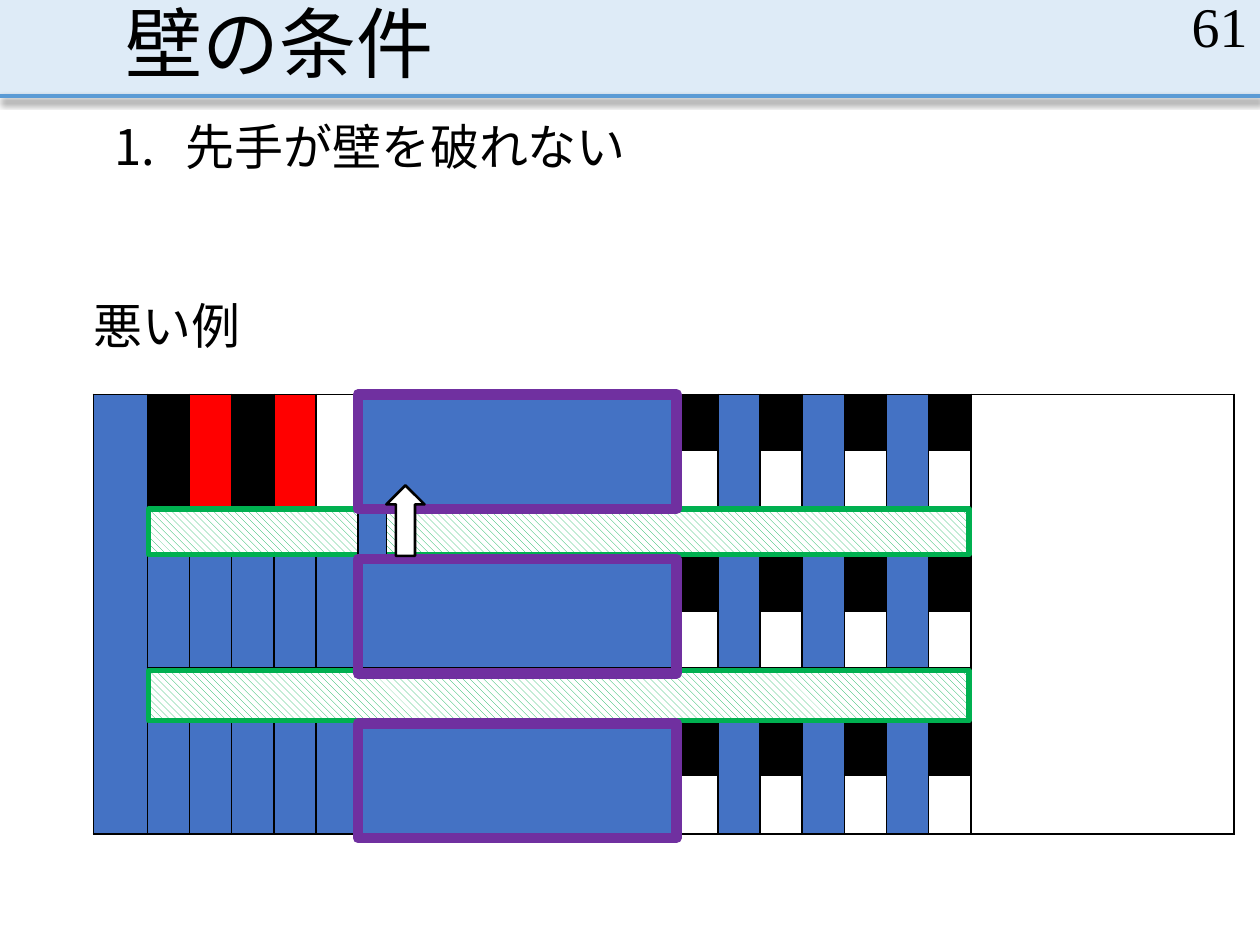
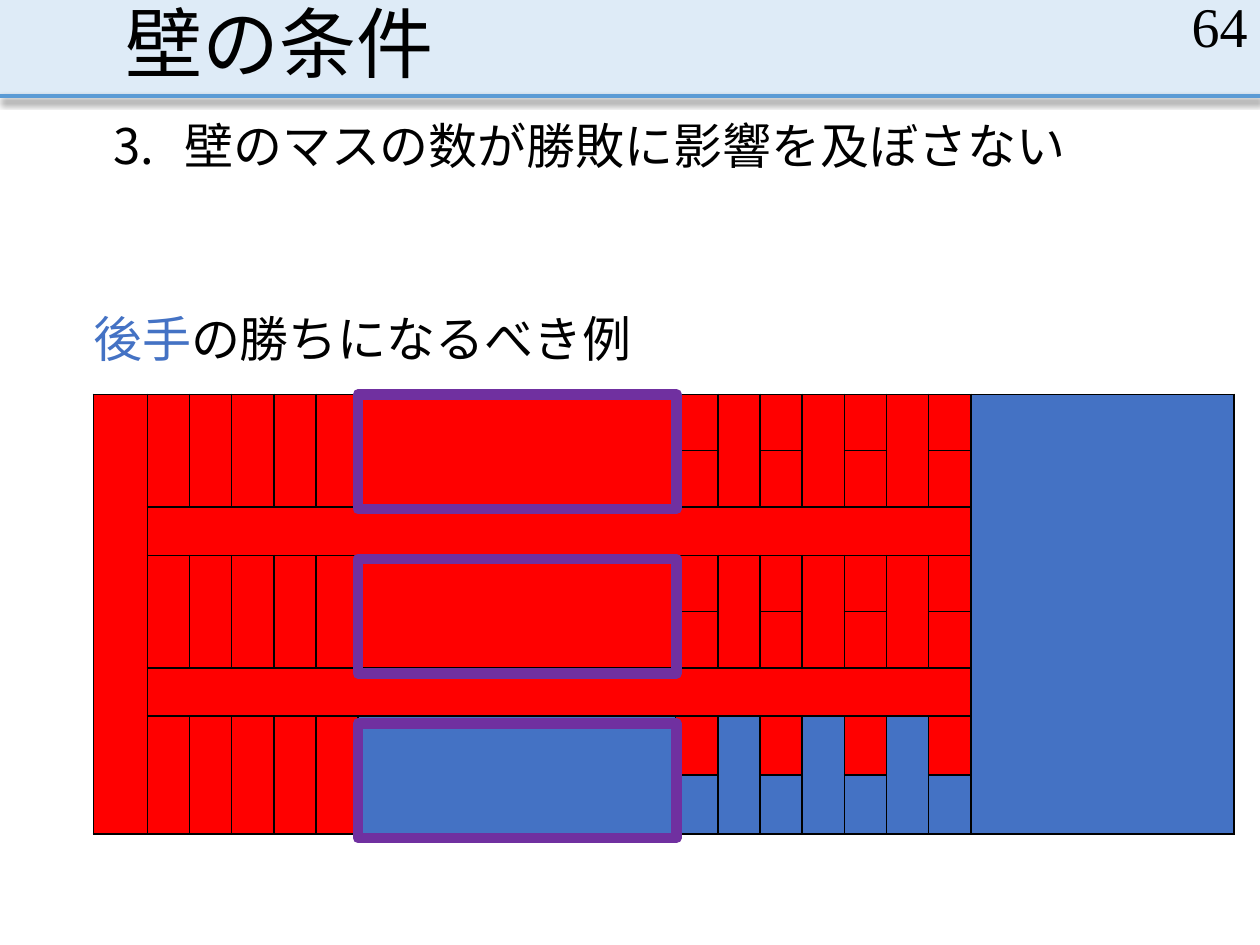
from lxml.etree import SubElement
from pptx import Presentation
from pptx.dml.color import RGBColor
from pptx.enum.dml import MSO_PATTERN as Pattern
from pptx.enum.shapes import MSO_CONNECTOR as Connector, MSO_SHAPE as Shape
from pptx.enum.text import MSO_ANCHOR as Anchor, PP_ALIGN as Align
from pptx.oxml.ns import qn
from pptx.util import Pt

COLORS = {
    "band": "DEEBF7", "rule": "5B9BD5", "black": "000000", "white": "FFFFFF",
    "red": "FF0000", "blue": "4472C4", "green": "00B050", "purple": "7030A0",
}
CELL_COLORS = {"K": "black", "R": "red", "B": "blue", "W": "white"}
FONT = "Times New Roman"
WIDTH, HEIGHT = 720, 540
HEADER = (0, 0, WIDTH, 54.72)
BOARD = (53.28, 225.36)
COLUMNS = [30.9] + [24.1] * 5 + [181.5] + [24.1] * 7 + [150.4]
ROWS = [32.2, 32.2, 27.7, 32.2, 32.2, 27.4, 33.7, 33.7]
BAND_ROWS = (0, 3, 6)
CORRIDOR_ROWS = (2, 5)
SPLIT_COLUMNS = (7, 9, 11, 13)
LAST_COLUMN = len(COLUMNS) - 1


def color(name):
    return RGBColor.from_string(COLORS[name])


def points(box):
    return [Pt(length) for length in box]


def add_block(page, kind, box, fill=None, line=None, weight=1):
    block = page.shapes.add_shape(kind, *points(box))
    block.shadow.inherit = False
    if fill:
        block.fill.solid()
        block.fill.fore_color.rgb = color(fill)
    else:
        block.fill.background()
    if line:
        block.line.color.rgb = color(line)
        block.line.width = Pt(weight)
    else:
        block.line.fill.background()
    return block


def add_text(page, box, parts, size, spacing=None, anchor=Anchor.TOP,
             align=Align.LEFT, side_inset=0, number=None):
    frame = page.shapes.add_textbox(*points(box)).text_frame
    frame.word_wrap = True
    frame.vertical_anchor = anchor
    frame.margin_left = frame.margin_right = Pt(side_inset)
    frame.margin_top = frame.margin_bottom = Pt(3.6)
    para = frame.paragraphs[0]
    para.alignment = align
    if spacing:
        para.line_spacing = spacing
    if number:
        properties = para._p.get_or_add_pPr()
        properties.set("marL", str(Pt(40.5)))
        properties.set("indent", str(-Pt(40.5)))
        SubElement(properties, qn("a:buFont"), typeface="+mj-lt")
        SubElement(properties, qn("a:buAutoNum"), type="arabicPeriod",
                   startAt=str(number))
    for words, ink in parts:
        span = para.add_run()
        span.text = words
        span.font.name = FONT
        span.font.size = Pt(size)
        span.font.color.rgb = color(ink)


def add_rule_shadow(rule):
    effects = SubElement(rule._element.spPr, qn("a:effectLst"))
    shadow = SubElement(effects, qn("a:outerShdw"), blurRad=str(Pt(4)),
                        dist=str(Pt(2.5)), dir="5400000", rotWithShape="0")
    ink = SubElement(shadow, qn("a:srgbClr"), val=COLORS["black"])
    SubElement(ink, qn("a:alpha"), val="47000")


def add_header(page, box, title, page_number):
    left, top, width, height = box
    add_block(page, Shape.RECTANGLE, box, "band")
    bottom = top + height
    rule = page.shapes.add_connector(
        Connector.STRAIGHT, *points((left, bottom, left + width, bottom)))
    rule.line.color.rgb = color("rule")
    rule.line.width = Pt(2.25)
    add_rule_shadow(rule)
    add_text(page, (left + 64.8, top, 594, height), [(title, "black")], 44,
             0.9, Anchor.BOTTOM, side_inset=7.2)
    add_text(page, (left + width - 162, top, 162, 28.8),
             [(page_number, "black")], 32, anchor=Anchor.MIDDLE,
             align=Align.RIGHT, side_inset=7.2)


def add_borders(cell):
    properties = cell._tc.get_or_add_tcPr()
    for side in ("a:lnL", "a:lnR", "a:lnT", "a:lnB"):
        border = SubElement(properties, qn(side), w=str(Pt(1)))
        fill = SubElement(border, qn("a:solidFill"))
        SubElement(fill, qn("a:srgbClr"), val=COLORS["black"])


def paint(cell, code):
    if code in CELL_COLORS:
        cell.fill.solid()
        cell.fill.fore_color.rgb = color(CELL_COLORS[code])
    else:
        cell.fill.background()


def add_board(page, origin, left_side, right_side, corridor, bands):
    box = (*origin, sum(COLUMNS), sum(ROWS))
    grid = page.shapes.add_table(len(ROWS), len(COLUMNS), *points(box)).table
    grid.first_row = grid.horz_banding = False
    for column, width in zip(grid.columns, COLUMNS):
        column.width = Pt(width)
    for row, height in zip(grid.rows, ROWS):
        row.height = Pt(height)
    for cell in grid.iter_cells():
        cell.margin_left = cell.margin_right = 0
        cell.margin_top = cell.margin_bottom = 0
        add_borders(cell)
        cell.fill.background()

    def fill_area(first, last, code):
        cell = grid.cell(*first)
        if first != last:
            cell.merge(grid.cell(*last))
        paint(cell, code)

    last_row = len(ROWS) - 1
    fill_area((0, 0), (last_row, 0), left_side)
    fill_area((0, LAST_COLUMN), (last_row, LAST_COLUMN), right_side)
    for row in CORRIDOR_ROWS:
        fill_area((row, 1), (row, LAST_COLUMN - 1), corridor)
    for row, (upper, lower) in zip(BAND_ROWS, bands):
        for column, code in enumerate(upper, 1):
            if column in SPLIT_COLUMNS:
                fill_area((row, column), (row, column), code)
                fill_area((row + 1, column), (row + 1, column), lower)
            else:
                fill_area((row, column), (row + 1, column), code)


def add_walls(page, origin):
    left, top = origin
    for index in range(3):
        add_block(page, Shape.RECTANGLE,
                  (left + 151.2, top + 94 * index, 182.16, 65.5),
                  line="purple", weight=6)


def add_corridors(page, origin):
    left, top = origin
    for offset, height in ((65.5, 26), (157.7, 28.8)):
        corridor = add_block(page, Shape.RECTANGLE,
                             (left + 31.7, top + offset, 468.7, height),
                             line="green", weight=3)
        corridor.fill.patterned()
        corridor.fill.pattern = Pattern.WIDE_DOWNWARD_DIAGONAL
        corridor.fill.fore_color.rgb = color("green")
        corridor.fill.back_color.rgb = color("white")
    add_block(page, Shape.RECTANGLE, (left + 151.2, top + 63.4, 16.5, 30.2),
              "blue", "black")


def add_breach_arrow(page, origin):
    left, top = origin
    add_block(page, Shape.UP_ARROW, (left + 167.5, top + 52, 21.8, 40.3),
              "white", "black", 1.5)


def build_unbroken_wall(page):
    add_header(page, HEADER, "壁の条件", "61")
    add_text(page, (65.5, 69.8, 333.4, 37.4),
             [("先手が壁を破れない", "black")], 28, 0.8, number=1)
    add_board(page, BOARD, "B", "W", ".",
              [("KRKR.BKBKBKBK", ".")] + [("BBBBBBKBKBKBK", ".")] * 2)
    add_corridors(page, BOARD)
    add_text(page, (53.28, 169.2, 108.7, 40.3), [("悪い例", "black")], 28, 0.9)
    add_walls(page, BOARD)
    add_breach_arrow(page, BOARD)


def build_wall_count(page):
    add_header(page, HEADER, "壁の条件", "64")
    add_text(page, (64.8, 66.2, 594, 115.9),
             [("壁のマスの数が勝敗に影響を及ぼさない", "black")], 28, 0.9,
             number=3)
    add_board(page, BOARD, "R", "B", "R",
              [("R" * 13, "R")] * 2 + [("RRRRRBRBRBRBR", "B")])
    add_text(page, (53.28, 176.4, 309.6, 34.6),
             [("後手", "blue"), ("の勝ちになるべき例", "black")], 28, 0.9)
    add_walls(page, BOARD)


def main():
    deck = Presentation()
    deck.slide_width, deck.slide_height = Pt(WIDTH), Pt(HEIGHT)
    for build in (build_unbroken_wall, build_wall_count):
        build(deck.slides.add_slide(deck.slide_layouts[6]))
    deck.save("out.pptx")


if __name__ == "__main__":
    main()
